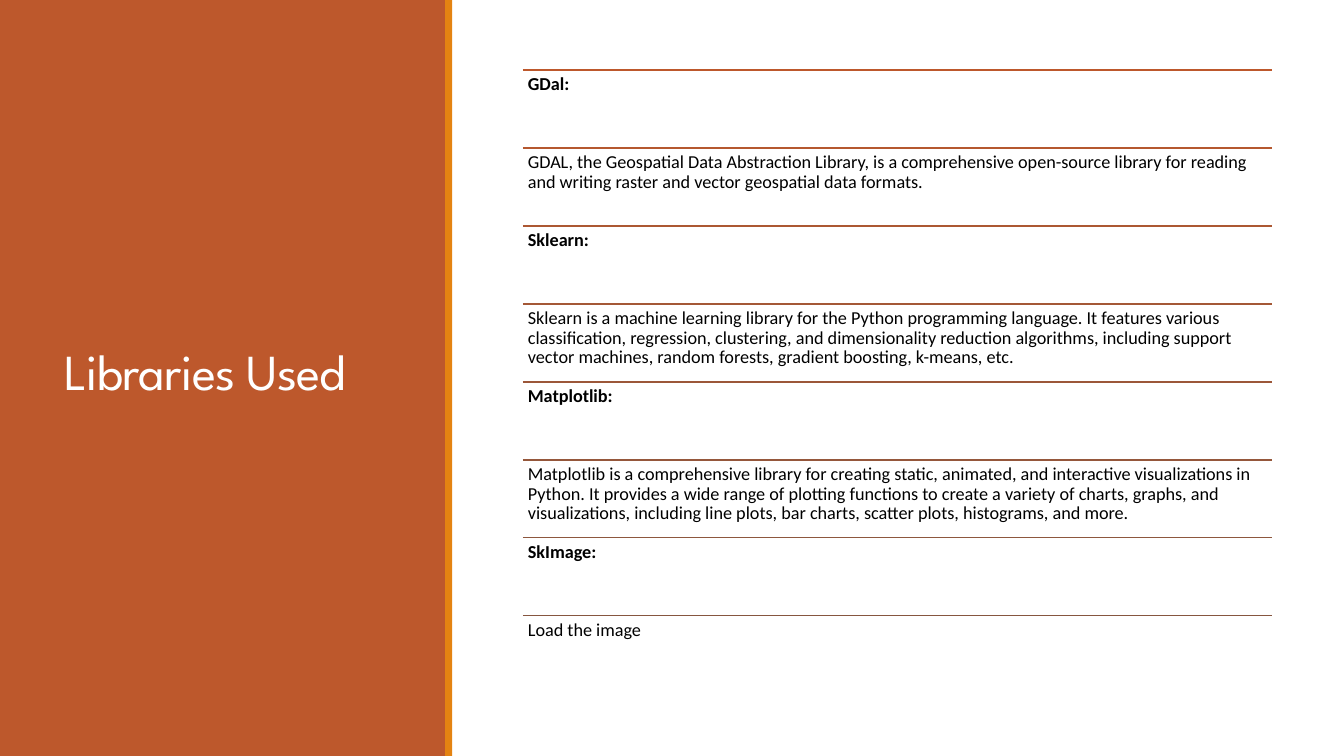
import pptx
import pptx.dml.color
import pptx.enum.shapes
import pptx.enum.text
import pptx.oxml.ns
import pptx.util
from lxml import etree

Pt = pptx.util.Pt

COLOURS = {
    "panel": "BD582C",
    "edge": "E48312",
    "title": "FFFFFF",
    "body": "000000",
}

LIBRARIES = [
    ("GDal:", "BD582C",
     "GDAL, the Geospatial Data Abstraction Library, is a comprehensive open-source library "
     "for reading and writing raster and vector geospatial data formats.", "B5582F"),
    ("Sklearn:", "AC5833",
     "Sklearn is a machine learning library for the Python programming language. It features "
     "various classification, regression, clustering, and dimensionality reduction algorithms, "
     "including support vector machines, random forests, gradient boosting, k-means, etc.", "A45836"),
    ("Matplotlib:", "9C5739",
     "Matplotlib is a comprehensive library for creating static, animated, and interactive "
     "visualizations in Python. It provides a wide range of plotting functions to create a "
     "variety of charts, graphs, and visualizations, including line plots, bar charts, scatter "
     "plots, histograms, and more.", "95573B"),
    ("SkImage:", "8D573E", "Load the image", "865640"),
]


def colour(value):
    """Turn a hex string into a colour."""
    return pptx.dml.color.RGBColor.from_string(value)


def add_block(page, left, top, width, height, fill):
    """Add a plain filled rectangle."""
    block = page.shapes.add_shape(
        pptx.enum.shapes.MSO_SHAPE.RECTANGLE, Pt(left), Pt(top), Pt(width), Pt(height))
    block.shadow.inherit = False
    block.fill.solid()
    block.fill.fore_color.rgb = colour(fill)
    block.line.fill.background()


def add_rule(page, left, top, width, stroke):
    """Add a horizontal line without a shadow."""
    rule = page.shapes.add_connector(
        pptx.enum.shapes.MSO_CONNECTOR.STRAIGHT, Pt(left), Pt(top), Pt(left + width), Pt(top))
    rule.line.color.rgb = colour(stroke)
    rule.line.width = Pt(1.25)
    etree.SubElement(rule._element.spPr, pptx.oxml.ns.qn("a:effectLst"))


def add_text(page, left, top, width, height, text, size, face, fill, spacing, inset):
    """Add a wrapped single-paragraph text box and return it."""
    box = page.shapes.add_textbox(Pt(left), Pt(top), Pt(width), Pt(height))
    frame = box.text_frame
    frame.word_wrap = True
    frame.margin_left = frame.margin_right = Pt(inset)
    frame.margin_top = frame.margin_bottom = Pt(3.6)
    frame.text = text
    para = frame.paragraphs[0]
    para.line_spacing = spacing
    span = para.runs[0]
    span.font.size = Pt(size)
    span.font.name = face
    span.font.color.rgb = colour(fill)
    return box


def add_title_panel(page, left, top, width, height):
    """Draw the coloured side panel with its edge and the title."""
    edge = 5
    add_block(page, left, top, width - edge, height, COLOURS["panel"])
    add_block(page, left + width - edge, top, edge, height, COLOURS["edge"])
    box = add_text(page, left + 38.9, top + 41, 242.6, 454.3, "Libraries Used",
                   36, "League Spartan", COLOURS["title"], 0.85, 7.2)
    box.text_frame.vertical_anchor = pptx.enum.text.MSO_ANCHOR.MIDDLE
    span = box.text_frame.paragraphs[0].runs[0]
    span._r.get_or_add_rPr().set("spc", "-50")


def add_library_list(page, left, top, width, height):
    """Draw a ruled row for each library name and each description."""
    row_height = height / (2 * len(LIBRARIES))
    rows = [row for name, name_rule, about, about_rule in LIBRARIES
            for row in ((name, name_rule, True), (about, about_rule, False))]
    for index, (text, stroke, bold) in enumerate(rows):
        row_top = top + index * row_height
        add_rule(page, left, row_top, width, stroke)
        box = add_text(page, left, row_top, width, row_height, text,
                       13, "Calibri", COLOURS["body"], 0.9, 3.6)
        box.text_frame.paragraphs[0].runs[0].font.bold = bold


def main():
    """Build the slide and save it."""
    deck = pptx.Presentation()
    deck.slide_width, deck.slide_height = Pt(960), Pt(540)
    page = deck.slides.add_slide(deck.slide_layouts[6])
    add_title_panel(page, 0, 0, 323, 540)
    add_library_list(page, 373.5, 50.2, 535, 445)
    deck.save("out.pptx")


if __name__ == "__main__":
    main()
